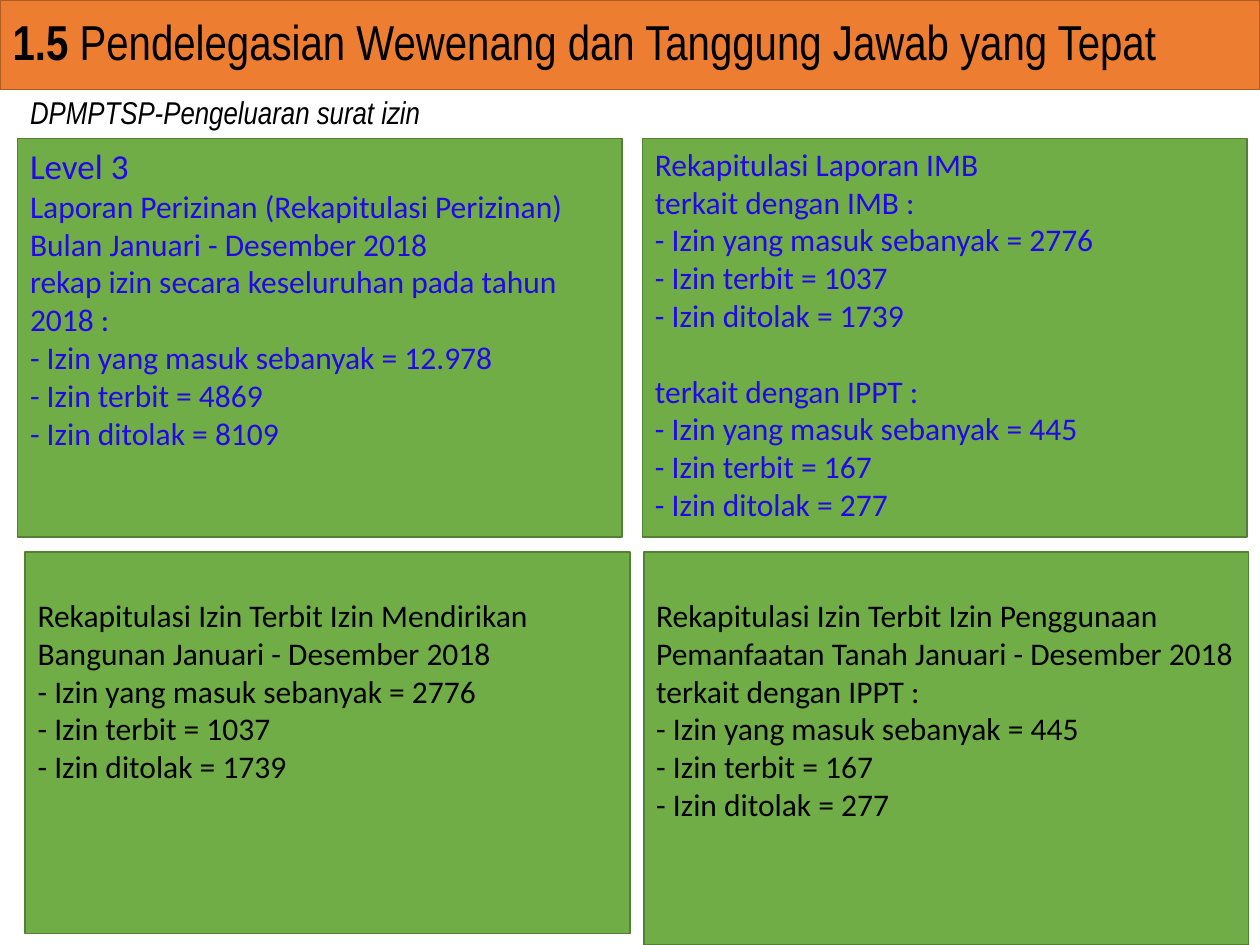
import pptx
import pptx.util
import pptx.dml.color
import pptx.enum.shapes
import pptx.enum.text

Inches, Pt = pptx.util.Inches, pptx.util.Pt
TEXT = pptx.enum.text


def paint(part, color):
    part.solid()
    part.fore_color.rgb = pptx.dml.color.RGBColor.from_string(color)


def write(para, text, color="000000", **style):
    run = para.add_run()
    run.text = text
    for name, value in style.items():
        setattr(run.font, name, value)
    paint(run.font.fill, color)


deck = pptx.Presentation()
deck.slide_width, deck.slide_height = Inches(10), Inches(7.5)
slide = deck.slides.add_slide(deck.slide_layouts[5])

# Title bar
title = slide.shapes.title
title.left, title.top = Inches(0), Inches(0)
title.width, title.height = Inches(10), Inches(0.71)
paint(title.fill, "ED7D31")
paint(title.line.fill, "AF5C24")
title.line.width = Pt(1)
frame = title.text_frame
bar = {"auto_size": TEXT.MSO_AUTO_SIZE.NONE, "word_wrap": True,
       "vertical_anchor": TEXT.MSO_ANCHOR.MIDDLE}
for name, value in bar.items():
    setattr(frame, name, value)
para = frame.paragraphs[0]
para.alignment = TEXT.PP_ALIGN.LEFT
para.line_spacing = 0.9
face = {"name": "Arial Narrow", "size": Pt(28)}
write(para, "1.5 ", bold=True, **face)
write(para, "Pendelegasian Wewenang dan Tanggung Jawab yang Tepat",
      bold=False, **face)

# Report boxes: left, top, height, top inset, text color, lines
boxes = [
    (0.14, 1.1, 3.16, 0.05, "2207E9", [
        "Level 3",
        "Laporan Perizinan (Rekapitulasi Perizinan) Bulan Januari - Desember 2018",
        "rekap izin secara keseluruhan pada tahun 2018 :",
        "- Izin yang masuk sebanyak = 12.978",
        "- Izin terbit = 4869",
        "- Izin ditolak = 8109"]),
    (5.1, 1.1, 3.16, 0.05, "2207E9", [
        "Rekapitulasi Laporan IMB",
        "terkait dengan IMB :",
        "- Izin yang masuk sebanyak = 2776",
        "- Izin terbit = 1037",
        "- Izin ditolak = 1739",
        "terkait dengan IPPT :",
        "- Izin yang masuk sebanyak = 445",
        "- Izin terbit = 167",
        "- Izin ditolak = 277"]),
    (0.2, 4.38, 3.03, 0.35, "000000", [
        "Rekapitulasi Izin Terbit Izin Mendirikan Bangunan Januari - Desember 2018",
        "- Izin yang masuk sebanyak = 2776",
        "- Izin terbit = 1037",
        "- Izin ditolak = 1739"]),
    (5.11, 4.38, 3.12, 0.35, "000000", [
        "Rekapitulasi Izin Terbit Izin Penggunaan Pemanfaatan Tanah Januari - Desember 2018",
        "terkait dengan IPPT :",
        "- Izin yang masuk sebanyak = 445",
        "- Izin terbit = 167",
        "- Izin ditolak = 277"]),
]
for left, top, height, inset, color, lines in boxes:
    box = slide.shapes.add_shape(
        pptx.enum.shapes.MSO_SHAPE.RECTANGLE,
        Inches(left), Inches(top), Inches(4.8), Inches(height))
    box.shadow.inherit = False
    paint(box.fill, "70AD47")
    paint(box.line.fill, "538035")
    box.line.width = Pt(1)
    frame = box.text_frame
    form = {"word_wrap": True, "vertical_anchor": TEXT.MSO_ANCHOR.TOP,
            "margin_top": Inches(inset)}
    for name, value in form.items():
        setattr(frame, name, value)
    for i, line in enumerate(lines):
        para = frame.add_paragraph() if i else frame.paragraphs[0]
        para.alignment = TEXT.PP_ALIGN.LEFT
        # A new group after a list starts one line lower
        if i and lines[i - 1].startswith("-") and not line.startswith("-"):
            para.space_before = Pt(21.6)
        size = 20 if line == "Level 3" else 18
        write(para, line, color, name="Calibri", size=Pt(size))

# Subtitle
note = slide.shapes.add_textbox(Inches(0.14), Inches(0.69),
                                Inches(3.76), Inches(0.4))
note.text_frame.word_wrap = True
write(note.text_frame.paragraphs[0], "DPMPTSP-Pengeluaran surat izin",
      name="Arial Narrow", size=Pt(18), italic=True)

deck.save("out.pptx")
